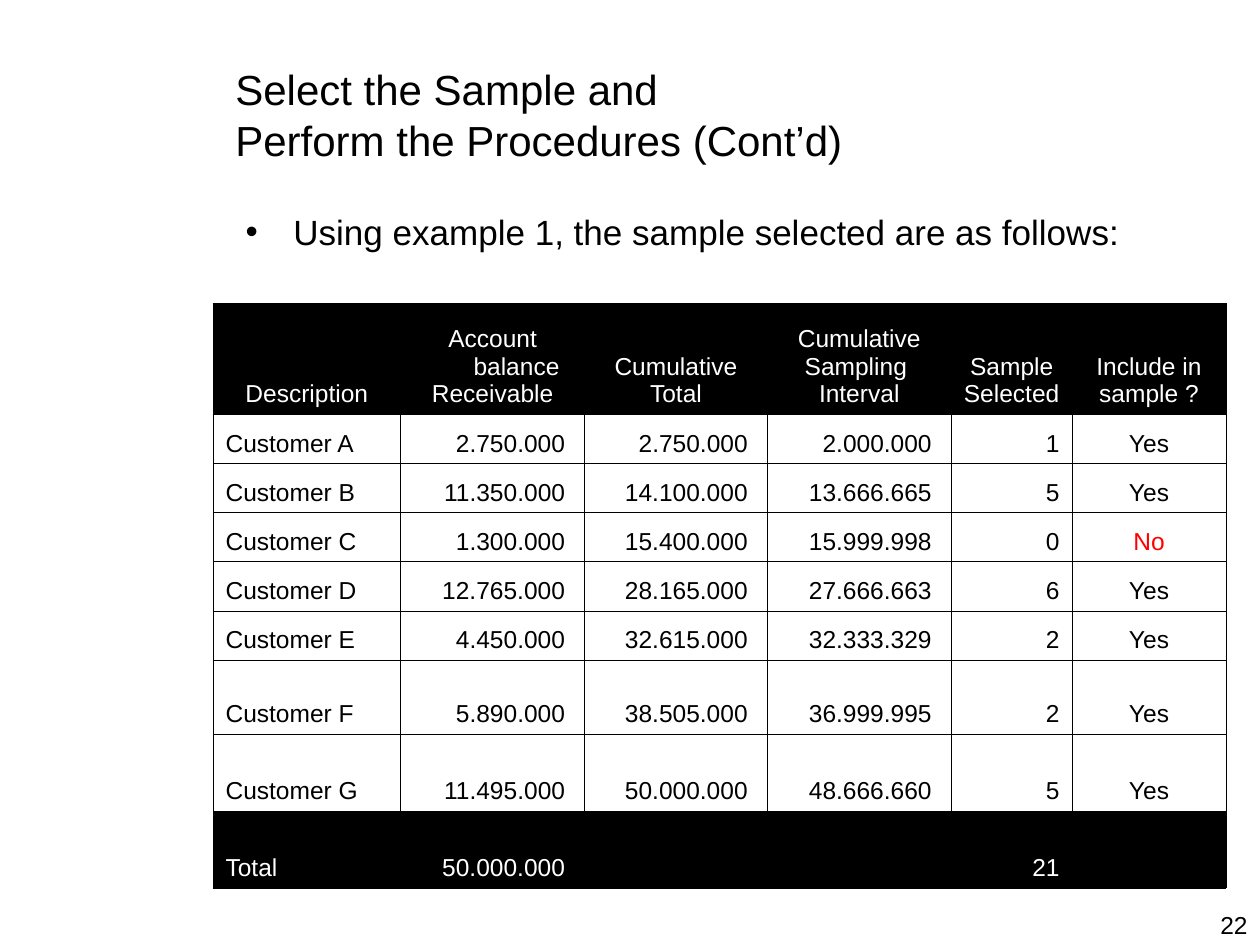
from lxml import etree
from pptx import Presentation
from pptx.dml.color import RGBColor
from pptx.enum.text import MSO_ANCHOR, PP_ALIGN
from pptx.oxml.ns import qn
from pptx.util import Inches, Pt

BLACK = RGBColor(0x00, 0x00, 0x00)
WHITE = RGBColor(0xFF, 0xFF, 0xFF)
RED = RGBColor(0xFF, 0x00, 0x00)
LEFT, CENTER, RIGHT = PP_ALIGN.LEFT, PP_ALIGN.CENTER, PP_ALIGN.RIGHT
TOP, MIDDLE, BOTTOM = MSO_ANCHOR.TOP, MSO_ANCHOR.MIDDLE, MSO_ANCHOR.BOTTOM

FONT = "Arial"
HANG = 0.38
BORDER_WIDTH = Pt(0.45)

COLUMN_WIDTHS = [1.49, 1.46, 1.45, 1.46, 0.96, 1.22]
ROW_HEIGHTS = [0.88] + [0.39] * 5 + [0.59, 0.61, 0.61]
COLUMN_ALIGNS = [LEFT, RIGHT, RIGHT, RIGHT, RIGHT, CENTER]

HEADINGS = [
    ["Description"],
    ["Account balance", "Receivable"],
    ["Cumulative", "Total"],
    ["Cumulative", "Sampling ", "Interval"],
    ["Sample", "Selected"],
    ["Include in", "sample ?"],
]
CUSTOMERS = [
    ["Customer A", "2.750.000 ", "2.750.000 ", "2.000.000 ", "1", "Yes"],
    ["Customer B", "11.350.000 ", "14.100.000 ", "13.666.665 ", "5", "Yes"],
    ["Customer C", "1.300.000 ", "15.400.000 ", "15.999.998 ", "0", "No"],
    ["Customer D", "12.765.000 ", "28.165.000 ", "27.666.663 ", "6", "Yes"],
    ["Customer E", "4.450.000 ", "32.615.000 ", "32.333.329 ", "2", "Yes"],
    ["Customer F", "5.890.000 ", "38.505.000 ", "36.999.995 ", "2", "Yes"],
    ["Customer G", "11.495.000 ", "50.000.000 ", "48.666.660 ", "5", "Yes"],
]
TOTALS = ["Total", "50.000.000 ", "", "", "21", ""]


def format_paragraph(paragraph, size, color=BLACK, align=LEFT):
    paragraph.alignment = align
    font_format = {"name": FONT, "size": Pt(size)}
    for attribute, value in font_format.items():
        setattr(paragraph.font, attribute, value)
    paragraph.font.color.rgb = color


def hang_indent(paragraph):
    properties = paragraph._p.get_or_add_pPr()
    properties.set("marL", str(Inches(HANG)))
    properties.set("indent", str(-Inches(HANG)))
    return properties


def add_bullet(paragraph):
    properties = hang_indent(paragraph)
    etree.SubElement(properties, qn("a:buFont"), typeface=FONT)
    etree.SubElement(properties, qn("a:buChar"), char="•")


def add_text(slide, text, box, size, align=LEFT, anchor=TOP, bulleted=False):
    frame = slide.shapes.add_textbox(*map(Inches, box)).text_frame
    frame_format = {"word_wrap": True, "vertical_anchor": anchor}
    for attribute, value in frame_format.items():
        setattr(frame, attribute, value)
    paragraph = frame.paragraphs[0]
    paragraph.text = text
    if bulleted:
        add_bullet(paragraph)
    format_paragraph(paragraph, size, align=align)


def add_borders(cell):
    properties = cell._tc.get_or_add_tcPr()
    for side in ("a:lnL", "a:lnR", "a:lnT", "a:lnB"):
        line = etree.SubElement(properties, qn(side), w=str(BORDER_WIDTH))
        fill = etree.SubElement(line, qn("a:solidFill"))
        etree.SubElement(fill, qn("a:srgbClr"), val=str(BLACK))


def fill_cell(cell, lines, align, color, dark):
    add_borders(cell)
    if dark:
        cell.fill.solid()
        cell.fill.fore_color.rgb = BLACK
    else:
        cell.fill.background()
    cell_format = {
        "vertical_anchor": BOTTOM,
        "margin_left": Inches(0.1),
        "margin_right": Inches(0.1),
        "margin_top": Inches(0.05),
        "margin_bottom": Inches(0.05),
    }
    for attribute, value in cell_format.items():
        setattr(cell, attribute, value)
    cell.text_frame.text = "\n".join(lines)
    for paragraph in cell.text_frame.paragraphs:
        hang_indent(paragraph)
        format_paragraph(paragraph, 14, color, align)


def add_sample_table(slide):
    body = [[[value] for value in row] for row in CUSTOMERS + [TOTALS]]
    rows = [HEADINGS] + body
    table = slide.shapes.add_table(
        len(rows), len(COLUMN_WIDTHS), Inches(1.69), Inches(2.41),
        Inches(sum(COLUMN_WIDTHS)), Inches(sum(ROW_HEIGHTS))).table
    table.first_row = table.horz_banding = False
    for column, width in zip(table.columns, COLUMN_WIDTHS):
        column.width = Inches(width)
    for row, height in zip(table.rows, ROW_HEIGHTS):
        row.height = Inches(height)

    # Heading and total rows are dark; a refused sample is red
    for row_index, row in enumerate(rows):
        is_heading = row_index == 0
        dark = is_heading or row_index == len(rows) - 1
        for column_index, lines in enumerate(row):
            color = WHITE if dark else RED if lines == ["No"] else BLACK
            align = CENTER if is_heading else COLUMN_ALIGNS[column_index]
            fill_cell(table.cell(row_index, column_index), lines, align, color, dark)


def main():
    deck = Presentation()
    deck.slide_width, deck.slide_height = Inches(10), Inches(7.5)
    slide = deck.slides.add_slide(deck.slide_layouts[6])

    # Title and introduction
    add_text(slide, "Select the Sample and\nPerform the Procedures (Cont’d)",
             (1.77, 0.28, 7.64, 1.25), 24, anchor=MIDDLE)
    add_text(slide, "Using example 1, the sample selected are as follows:",
             (1.85, 1.62, 7.79, 0.57), 20, bulleted=True)

    # Selected sample
    add_sample_table(slide)

    # Page number
    add_text(slide, "22", (7.92, 7.17, 2.08, 0.33), 14, align=RIGHT)

    deck.save("out.pptx")


if __name__ == "__main__":
    main()
